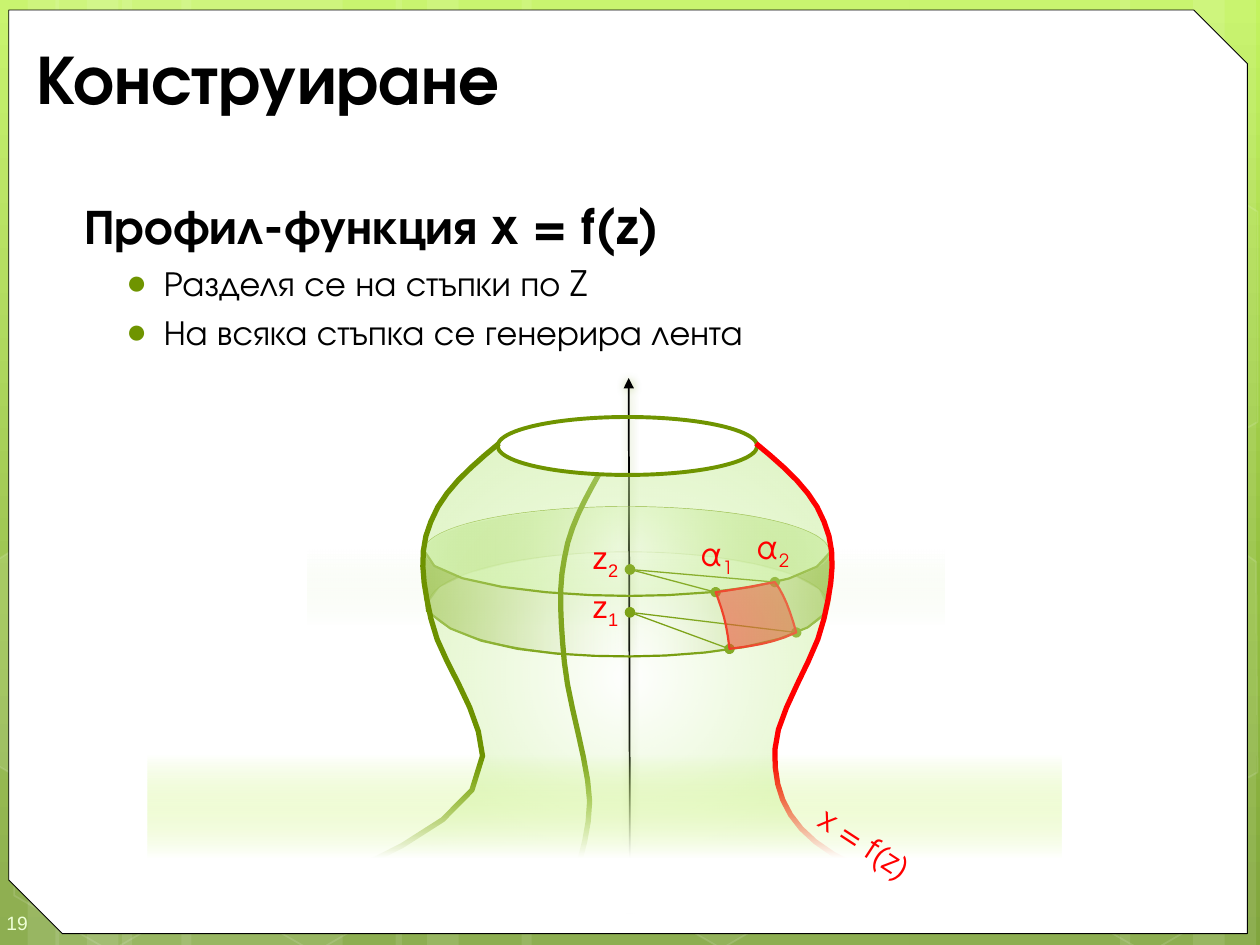
from lxml import etree
from pptx import Presentation
from pptx import util as u
from pptx.dml.color import RGBColor
from pptx.enum import shapes, text
from pptx.oxml.ns import nsdecls, qn

PX = 9144
WIDTH, HEIGHT = 1000, 750
SANS, GEO = "Arial", "TeX Gyre Adventor"
GREEN, DARK, RED, WHITE, BLACK = "6F9400", "6D9200", "FF0000", "FFFFFF", "000000"

BACKGROUND = ([(0, "C3F35F", 100), (62, "93BF3F", 100), (100, "81A53E", 100)], 90)
BAND = ([(0, GREEN, 60), (48, "ECF8DE", 0), (100, GREEN, 60)], 180)
GLOW = ([(0, "C4EE8E", 0), (100, "D9F2BB", 100)], None)
HAZE = ([(0, WHITE, 89), (100, "ECF8DE", 0)], 90)
FADE = ([(0, "C3F35F", 0), (65, WHITE, 100), (100, WHITE, 100)], 90)

STRIPES = [(97, 175), (-3, 50), (22, 83), (144, 175), (44, 50), (69, 83), (722, 175),
           (947, 50), (889, 83), (414, 308), (314, 50), (339, 83)]
HEXAGONS = [(485, 589, 6), (0, 591, 0), (162, 592, 0), (823, 593, 0)]
CUT_HEXAGONS = [
    ([(-3, 445), (8, 438), (85, 482), (84, 570), (9, 614), (-3, 607)], 10),
    ([(915, 485), (990, 441), (997, 446), (998, 613), (991, 617), (914, 573)], 4),
    ([(915, 207), (990, 163), (998, 168), (998, 335), (991, 339), (914, 295)], 0),
]

BAND_BACK = [(661, 436), (660, 457), (661, 461), (656, 481), (659, 450), (553, 438),
             (501, 437), (448, 437), (344, 449), (339, 479), (338, 455), (336, 455),
             (336, 436), (344, 412), (447, 402), (501, 402), (555, 402), (644, 410),
             (661, 436)]
BAND_FRONT = [(660, 437), (659, 464), (660, 466), (656, 486), (636, 513), (553, 521),
              (500, 521), (448, 521), (368, 517), (339, 485), (337, 463), (336, 458),
              (336, 436), (337, 466), (446, 473), (500, 473), (554, 473), (650, 466),
              (660, 437)]
PATCH = [(615, 462), (622, 471), (627, 484), (632, 502), (613, 511), (595, 513),
         (579, 515), (577, 495), (573, 483), (568, 470), (584, 468), (599, 465),
         (615, 462)]
MERIDIAN = [(475, 377), (464, 397), (452, 418), (448, 443), (443, 467), (445, 493),
            (448, 526), (451, 558), (467, 605), (468, 636), (468, 668), (453, 702),
            (452, 715)]
VASE = [(601, 353), (634, 380), (662, 406), (662, 447), (662, 518), (616, 547),
        (614, 601), (611, 670), (688, 694), (764, 719), (688, 723), (310, 722),
        (232, 717), (308, 677), (382, 643), (382, 602), (382, 561), (332, 515),
        (336, 440), (339, 397), (373, 373), (394, 353), (396, 364), (436, 375),
        (474, 377), (517, 380), (598, 373), (601, 353)]
LEFT_PROFILE = [(396, 352), (373, 371), (351, 390), (342, 414), (332, 437), (335, 460),
                (342, 491), (348, 523), (381, 561), (383, 600), (385, 658), (262, 692),
                (231, 718)]
RIGHT_PROFILE = [(600, 352), (623, 371), (645, 390), (654, 414), (664, 437), (661, 461),
                 (654, 491), (648, 522), (616, 565), (615, 595), (614, 624), (622, 648),
                 (647, 668), (672, 689), (719, 703), (765, 718)]

FIGURE = [
    ("OVAL", (340, 438, 317, 83), None, (DARK, 0.5)),
    ("RECTANGLE", (244, 436, 506, 60), HAZE, None),
    ("curve", BAND_BACK, BAND, None),
    ("axis", (500, 718, 499, 300), None, (BLACK, 1)),
    ("OVAL", (336, 402, 322, 71), GLOW, (GREEN, 0.25)),
    ("curve", BAND_FRONT, BAND, (GREEN, 1.25)),
    ("radius", (500, 486, 632, 502), None, (GREEN, 0.75)),
    ("radius", (500, 452, 615, 462), None, (GREEN, 0.75)),
    ("radius", (500, 486, 579, 515), None, (GREEN, 0.75)),
    ("radius", (500, 452, 568, 470), None, (GREEN, 0.75)),
    ("curve", PATCH, (RED, 50), (RED, 1.25)),
    ("curve", MERIDIAN, None, (DARK, 3)),
    ("curve", VASE, GLOW, None),
    ("OVAL", (395, 331, 206, 46), None, (GREEN, 2.25)),
    ("curve", LEFT_PROFILE, None, (DARK, 3)),
    ("curve", RIGHT_PROFILE, None, (RED, 3)),
]
LABELS = [("z", "1", SANS, (441, 463, 79, 40), 0), ("α", "1", GEO, (529, 422, 79, 40), 0),
          ("α", "2", GEO, (574, 416, 79, 40), 0), ("z", "2", SANS, (441, 424, 79, 40), 0)]
PROFILE_LABEL = ("x = f(z)", "", GEO, (585, 649, 204, 40), 33.2)
TITLE = "Конструиране"
BODY = [("Профил-функция x = f(z)", 28, True), ("Разделя се на стъпки по Z", 20, False),
        ("На всяка стъпка се генерира лента", 20, False)]


def rgb(hex_color):
    return RGBColor.from_string(hex_color)


def emu(values):
    return [round(v * PX) for v in values]


def gradient(stops, angle):
    gs = "".join(f'<a:gs pos="{pos * 1000}"><a:srgbClr val="{c}"><a:alpha val="{a * 1000}"/>'
                 f'</a:srgbClr></a:gs>' for pos, c, a in stops)
    if angle is None:
        way = ('<a:path path="circle"><a:fillToRect l="50000" t="50000" r="50000" b="50000"/>'
               '</a:path>')
    else:
        way = f'<a:lin ang="{angle * 60000}" scaled="0"/>'
    return etree.fromstring(f'<a:gradFill {nsdecls("a")} rotWithShape="1">'
                            f'<a:gsLst>{gs}</a:gsLst>{way}</a:gradFill>')


def set_alpha(el, alpha):
    for clr in el.iter(qn("a:srgbClr")):
        etree.SubElement(clr, qn("a:alpha")).set("val", str(alpha * 1000))


def style(sp, fill=None, line=None):
    sp.shadow.inherit = False
    spPr = sp.element.spPr
    if fill and isinstance(fill[0], str):
        sp.fill.solid()
        sp.fill.fore_color.rgb = rgb(fill[0])
        set_alpha(spPr.find(qn("a:solidFill")), fill[1])
    else:
        sp.fill.background()
        if fill:
            spPr.replace(spPr.find(qn("a:noFill")), gradient(*fill))
    if line:
        sp.line.color.rgb = rgb(line[0])
        sp.line.width = u.Pt(line[1])
        if len(line) > 2:
            set_alpha(spPr.find(qn("a:ln")), line[2])
    else:
        sp.line.fill.background()
    return sp


def shape(s, kind, box, fill=None, line=None, rotation=0, adj=()):
    sp = s.shapes.add_shape(getattr(shapes.MSO_SHAPE, kind), *emu(box))
    sp.rotation = rotation
    for i, value in enumerate(adj):
        sp.adjustments[i] = value
    return style(sp, fill, line)


def outline(s, pts, fill=None, line=None):
    pts = [emu(p) for p in pts]
    fb = s.shapes.build_freeform(*pts[0], scale=1.0)
    fb.add_line_segments(pts[1:], close=pts[0] == pts[-1])
    return style(fb.convert_to_shape(), fill, line)


def curve(s, pts, fill=None, line=None, steps=6):
    out = [pts[0]]
    for i in range(0, len(pts) - 1, 3):
        for t in (k / steps for k in range(1, steps + 1)):
            w = ((1 - t) ** 3, 3 * t * (1 - t) ** 2, 3 * t * t * (1 - t), t ** 3)
            out.append(tuple(sum(a * p[d] for a, p in zip(w, pts[i:i + 4])) for d in (0, 1)))
    return outline(s, out, fill, line)


def connector(s, kind, ends, line):
    c = s.shapes.add_connector(shapes.MSO_CONNECTOR.STRAIGHT, *emu(ends))
    c.line.color.rgb = rgb(line[0])
    c.line.width = u.Pt(line[1])
    spPr = c.element.spPr
    ln = spPr.find(qn("a:ln"))
    effects = etree.SubElement(spPr, qn("a:effectLst"))
    if kind == "radius":
        etree.SubElement(ln, qn("a:headEnd")).set("type", "oval")
        etree.SubElement(ln, qn("a:tailEnd")).set("type", "oval")
    else:
        etree.SubElement(ln, qn("a:tailEnd")).set("type", "triangle")
        shadow = etree.SubElement(effects, qn("a:outerShdw"), blurRad=str(u.Pt(5)))
        etree.SubElement(shadow, qn("a:srgbClr"), val=GREEN)
        set_alpha(shadow, 40)


def add_run(p, words, font, size, color, bold=False):
    r = p.add_run()
    r.text = words
    r.font.name, r.font.size, r.font.bold = font, u.Pt(size), bold
    r.font.color.rgb = rgb(color)
    return r


def label(s, words, index, font, box, rotation):
    tf = shape(s, "CHEVRON", box, rotation=rotation, adj=[0]).text_frame
    tf.word_wrap = False
    tf.vertical_anchor = text.MSO_ANCHOR.MIDDLE
    p = tf.paragraphs[0]
    p.alignment = text.PP_ALIGN.CENTER
    add_run(p, words, font, 18, RED)
    if index:
        add_run(p, index, font, 18, RED).font._element.set("baseline", "-25000")


def place(s, sp, box, anchor):
    sp.left, sp.top, sp.width, sp.height = emu(box)
    s.shapes.element.append(sp.element)
    tf = sp.text_frame
    tf.word_wrap = True
    tf.auto_size = text.MSO_AUTO_SIZE.NONE
    tf.vertical_anchor = anchor
    return tf


def backdrop(s):
    s.background.fill.solid()
    bg = s.element.find(".//" + qn("p:bgPr"))
    bg.replace(bg.find(qn("a:solidFill")), gradient(*BACKGROUND))
    for x, w in STRIPES:
        shape(s, "RECTANGLE", (x, 0, w, HEIGHT), (WHITE, 10))
    for x, y, a in HEXAGONS:
        shape(s, "HEXAGON", (x, y, 175, 152), (WHITE, a) if a else None,
              (WHITE, 1, 12), 30, [0.285, 1.155])
    for pts, a in CUT_HEXAGONS:
        outline(s, pts + pts[:1], (WHITE, a) if a else None, (WHITE, 1, 12))
    shape(s, "SNIP_2_DIAG_RECTANGLE", (7, 8, 983, 733), (WHITE, 100), (BLACK, 0.5),
          adj=[0, 0.058])
    tf = s.shapes.add_textbox(*emu((0, 710, 58, 40))).text_frame
    tf.word_wrap = True
    tf.vertical_anchor = text.MSO_ANCHOR.MIDDLE
    tf.margin_left, tf.margin_top, tf.margin_right, tf.margin_bottom = emu((5, 15, 0, 10))
    add_run(tf.paragraphs[0], "19", SANS, 11, "EEFFD6")


def main():
    prs = Presentation()
    prs.slide_width, prs.slide_height = emu((WIDTH, HEIGHT))
    s = prs.slides.add_slide(prs.slide_layouts[1])
    title, body = s.placeholders
    backdrop(s)
    for kind, geometry, fill, line in FIGURE:
        if kind == "curve":
            curve(s, geometry, fill, line)
        elif kind in ("axis", "radius"):
            connector(s, kind, geometry, line)
        else:
            shape(s, kind, geometry, fill, line)
    for item in LABELS:
        label(s, *item)
    shape(s, "RECTANGLE", (117, 600, 725, 125), FADE)
    label(s, *PROFILE_LABEL)

    p = place(s, title, (19, 25, 947, 71), text.MSO_ANCHOR.MIDDLE).paragraphs[0]
    p.alignment = text.PP_ALIGN.LEFT
    add_run(p, TITLE, GEO, 40, BLACK, True)
    tf = place(s, body, (50, 150, 942, 592), text.MSO_ANCHOR.TOP)
    for i, (words, size, bold) in enumerate(BODY):
        p = tf.add_paragraph() if i else tf.paragraphs[0]
        p.level = min(i, 1)
        p.space_before = u.Pt(size * 0.2 if i else 0)
        pPr = p._p.get_or_add_pPr()
        left, indent = emu((70, -30) if i else (7, 0))
        pPr.set("marL", str(left))
        pPr.set("indent", str(indent))
        if i:
            color = etree.SubElement(pPr, qn("a:buClr"))
            etree.SubElement(color, qn("a:srgbClr"), val=GREEN)
            etree.SubElement(pPr, qn("a:buChar"), char="●")
        else:
            etree.SubElement(pPr, qn("a:buNone"))
        add_run(p, words, GEO, size, BLACK, bold)
    prs.save("out.pptx")


if __name__ == "__main__":
    main()
